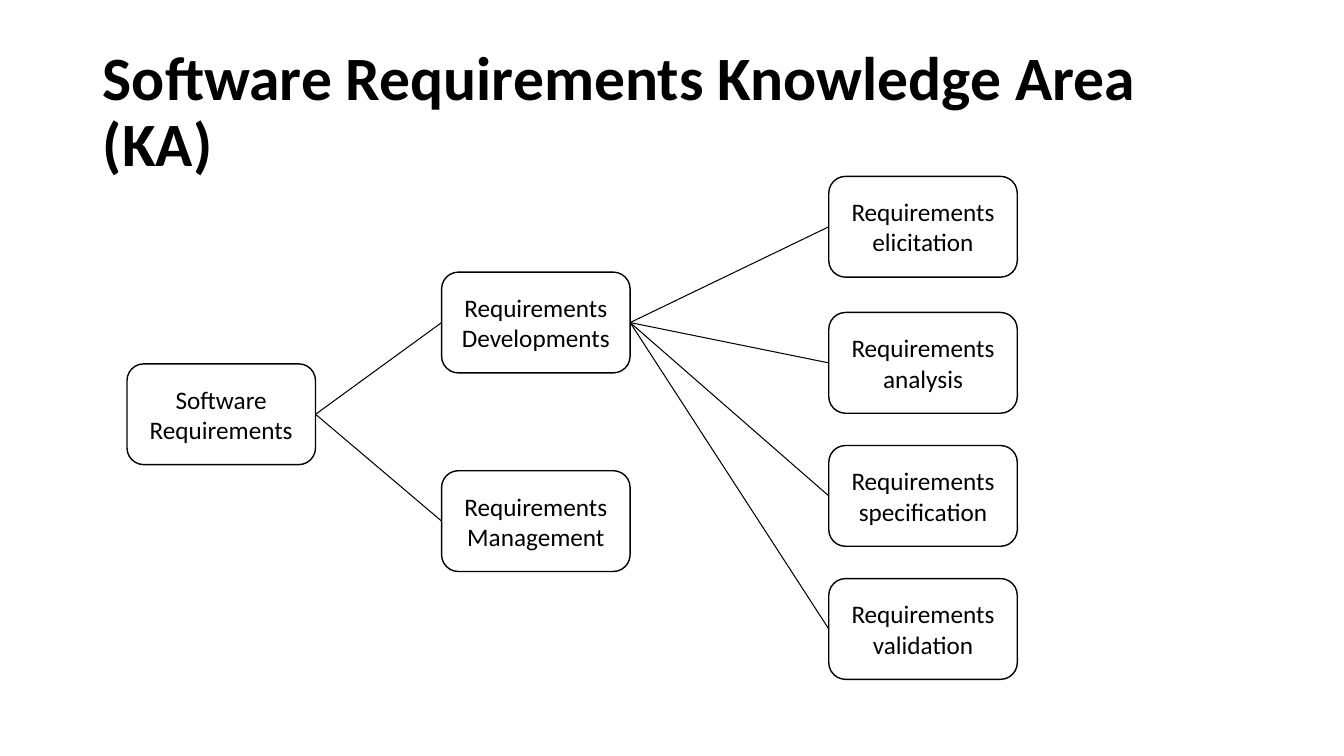
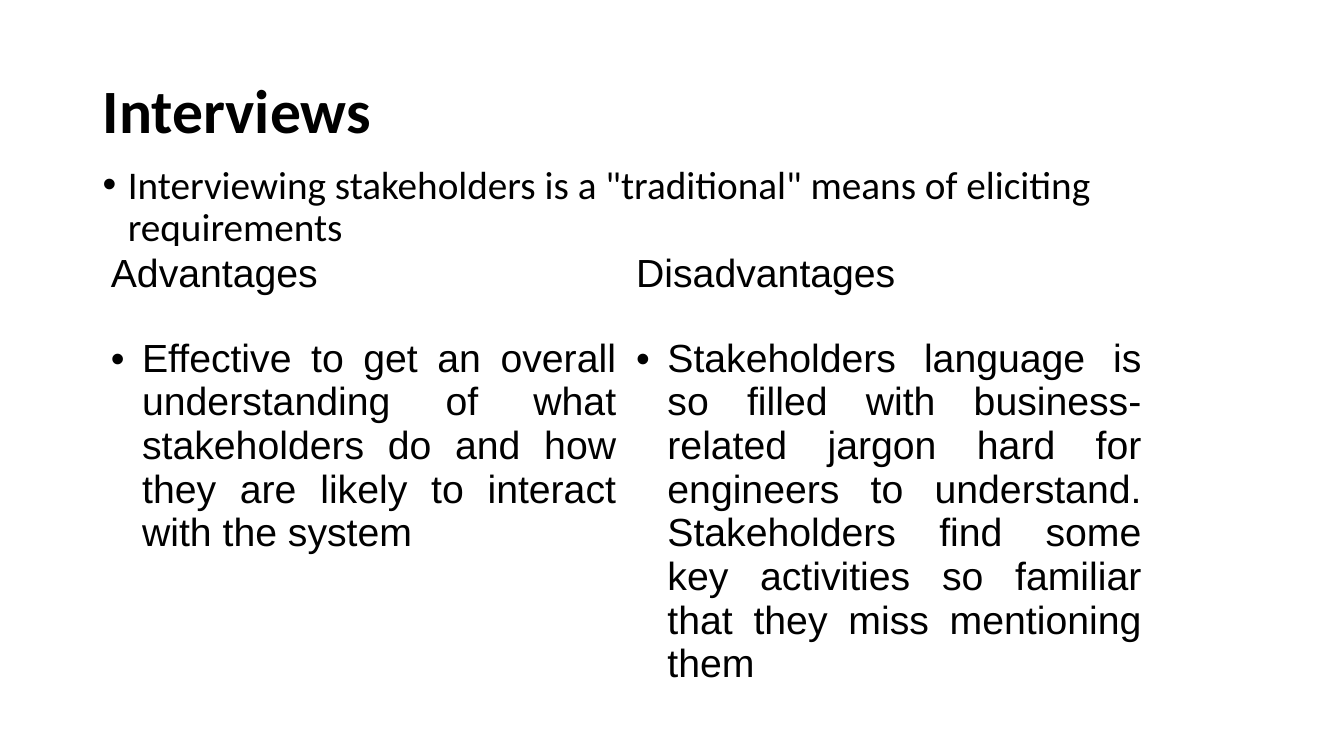
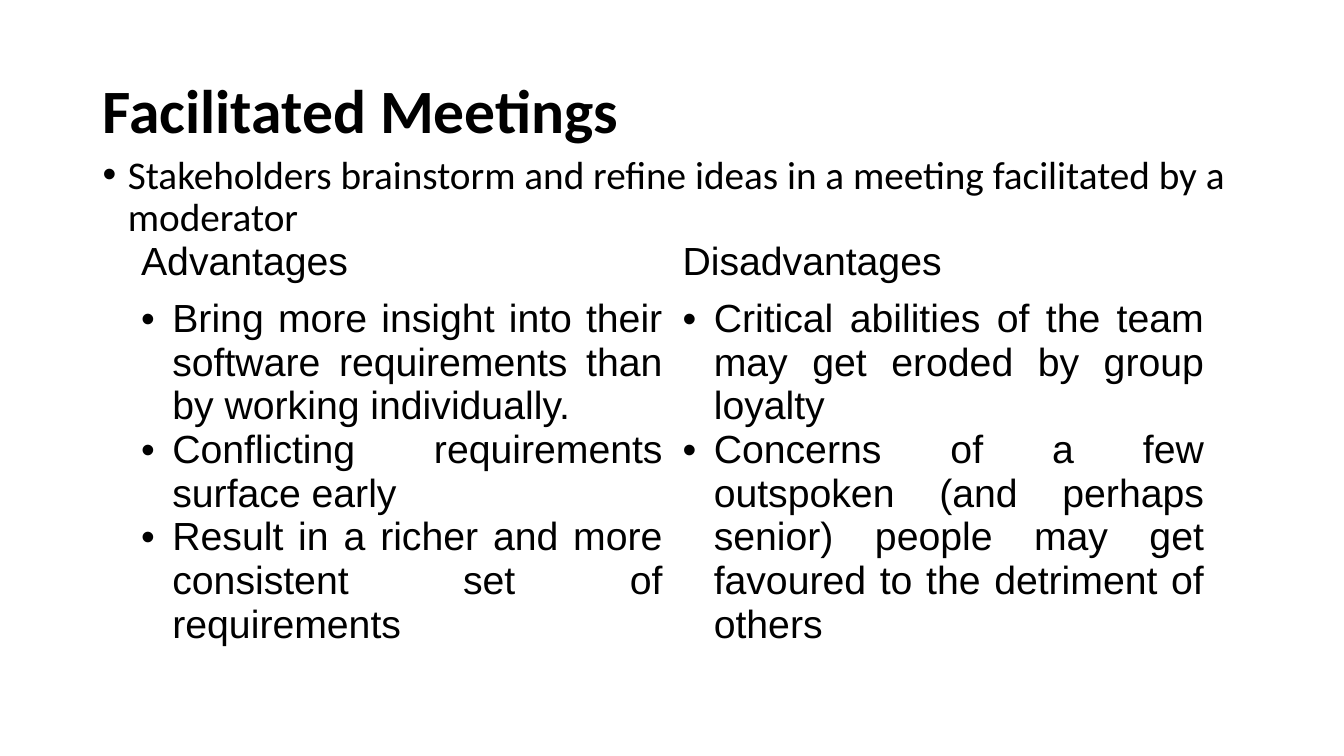
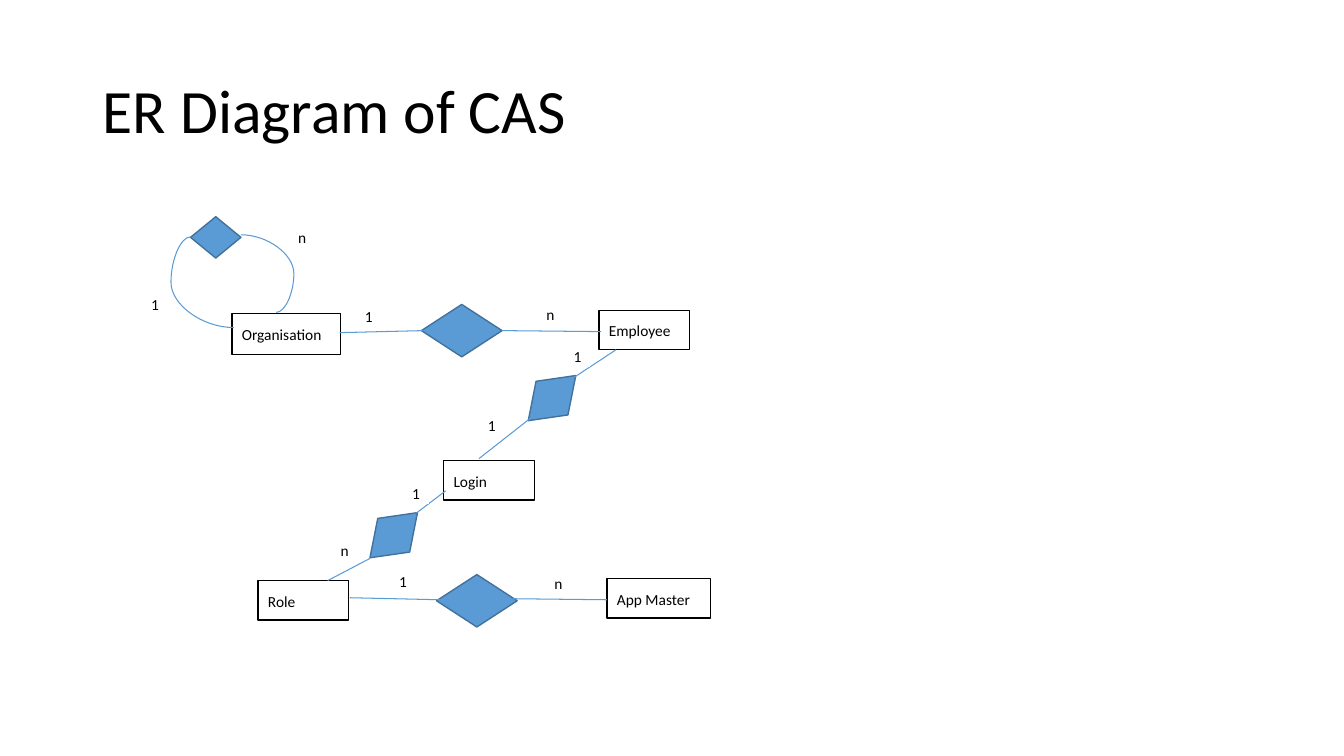
from dataclasses import dataclass
from typing import NamedTuple

from lxml import etree
from pptx import Presentation
from pptx.dml.color import RGBColor
from pptx.enum.shapes import MSO_CONNECTOR, MSO_SHAPE
from pptx.enum.text import MSO_ANCHOR, MSO_AUTO_SIZE, PP_ALIGN
from pptx.oxml.ns import qn
from pptx.util import Inches, Pt

STRAIGHT, CURVE = MSO_CONNECTOR.STRAIGHT, MSO_CONNECTOR.CURVE
RECTANGLE, ROUNDED = MSO_SHAPE.RECTANGLE, MSO_SHAPE.ROUNDED_RECTANGLE
DECISION = MSO_SHAPE.FLOWCHART_DECISION
TOP, MIDDLE = MSO_ANCHOR.TOP, MSO_ANCHOR.MIDDLE
LEFT, CENTER, JUSTIFY = PP_ALIGN.LEFT, PP_ALIGN.CENTER, PP_ALIGN.JUSTIFY
TITLE_ONLY = 5
LEFT_SITE, RIGHT_SITE = 1, 3


@dataclass(frozen=True)
class Theme:
    ink: RGBColor = RGBColor(0x00, 0x00, 0x00)
    paper: RGBColor = RGBColor(0xFF, 0xFF, 0xFF)
    accent: RGBColor = RGBColor(0x5B, 0x9B, 0xD5)
    accent_edge: RGBColor = RGBColor(0x42, 0x71, 0x9B)
    font: str = "Calibri"
    table_font: str = "Arial"
    title_size: float = 44
    body_size: float = 28
    node_size: float = 18
    diagram_size: float = 11
    edge: float = 1
    thin_edge: float = 0.75


THEME = Theme()


class Frame(NamedTuple):
    left: float
    top: float
    width: float
    height: float


class Node(NamedTuple):
    lines: tuple[str, ...]
    left: float
    top: float


class Entity(NamedTuple):
    name: str
    frame: Frame


class Relation(NamedTuple):
    frame: Frame
    rotation: float = 0


class Link(NamedTuple):
    x1: float
    y1: float
    x2: float
    y2: float
    bend: int | None = None


class Mark(NamedTuple):
    text: str
    left: float
    top: float


@dataclass(frozen=True)
class Comparison:
    title: str
    summary: str
    summary_top: float
    table: Frame
    row_heights: tuple[float, float]
    advantages: tuple[str, ...]
    disadvantages: tuple[str, ...]


TITLE_FRAME = Frame(0.92, 0.4, 11.5, 1.45)
NODE_WIDTH, NODE_HEIGHT = 1.87, 1
MARK_SIDE = 0.26

ROOT = Node(("Software Requirements",), 1.26, 3.61)
BRANCHES = [
    Node(("Requirements", "Developments"), 4.38, 2.7),
    Node(("Requirements", "Management"), 4.38, 4.67),
]
ACTIVITIES = [
    Node(("Requirements", name), 8.22, top)
    for name, top in (
        ("elicitation", 1.75),
        ("analysis", 3.1),
        ("specification", 4.42),
        ("validation", 5.74),
    )
]

COMPARISONS = [
    Comparison(
        "Interviews",
        'Interviewing stakeholders is a "traditional" means of eliciting requirements',
        1.59,
        Frame(1, 2.45, 10.42, 4.02),
        (0.84, 3.18),
        (
            "Effective to get an overall understanding of what stakeholders do "
            "and how they are likely to interact with the system",
        ),
        (
            "Stakeholders language is so filled with business-related jargon "
            "hard for engineers to understand. Stakeholders find some key "
            "activities so familiar that they miss mentioning them",
        ),
    ),
    Comparison(
        "Facilitated Meetings",
        "Stakeholders brainstorm and refine ideas in a meeting facilitated by a moderator",
        1.49,
        Frame(1.3, 2.33, 10.74, 2.75),
        (0.35, 2.4),
        (
            "Bring more insight into their software requirements than by "
            "working individually.",
            "Conflicting requirements surface early",
            "Result in a richer and more consistent set of requirements",
        ),
        (
            "Critical abilities of the team may get eroded by group loyalty",
            "Concerns of a few outspoken (and perhaps senior) people may get "
            "favoured to the detriment of others",
        ),
    ),
]

ENTITIES = [
    Entity("Organisation", Frame(2.3, 3.11, 1.08, 0.41)),
    Entity("Employee", Frame(5.94, 3.08, 0.9, 0.39)),
    Entity("Login", Frame(4.4, 4.57, 0.9, 0.39)),
    Entity("Role", Frame(2.56, 5.76, 0.9, 0.39)),
    Entity("App Master", Frame(6.02, 5.74, 1.03, 0.39)),
]
RELATIONS = [
    Relation(Frame(1.89, 2.15, 0.5, 0.41)),
    Relation(Frame(4.18, 3.02, 0.8, 0.52)),
    Relation(Frame(5.15, 3.72, 0.65, 0.46), 316.5),
    Relation(Frame(3.58, 5.08, 0.65, 0.46), 316.5),
    Relation(Frame(4.33, 5.7, 0.8, 0.52)),
]
LINKS = [
    Link(2.74, 3.1, 2.39, 2.33, -50000),
    Link(1.89, 2.35, 2.32, 3.25, -45200),
    Link(4.2, 3.28, 3.37, 3.3),
    Link(5.96, 3.29, 4.98, 3.28),
    Link(6.11, 3.47, 5.7, 3.74),
    Link(5.26, 4.15, 4.75, 4.55),
    Link(4.42, 4.87, 4.13, 5.09),
    Link(3.67, 5.54, 3.25, 5.76),
    Link(4.37, 5.95, 3.47, 5.93),
    Link(6.02, 5.95, 5.09, 5.94),
]
MARKS = [
    Mark("n", 2.86, 2.2),
    Mark("1", 1.4, 2.87),
    Mark("1", 3.52, 2.99),
    Mark("n", 5.32, 2.97),
    Mark("1", 5.59, 3.38),
    Mark("1", 4.74, 4.07),
    Mark("1", 3.99, 4.74),
    Mark("n", 3.28, 5.31),
    Mark("1", 3.86, 5.61),
    Mark("n", 5.4, 5.63),
]


def lengths(frame: Frame) -> list:
    return [Inches(value) for value in frame]


def add_bullet(para, indent: float) -> None:
    properties = para._p.get_or_add_pPr()
    properties.set("marL", str(Inches(indent)))
    properties.set("indent", str(-Inches(indent)))
    etree.SubElement(properties, qn("a:buFont"), typeface="Arial")
    etree.SubElement(properties, qn("a:buChar"), char="•")


def write(text_frame, lines, size: float, font: str = THEME.font, align=LEFT,
          spacing: float = 1, bold: bool = False, indent: float = 0) -> None:
    for index, line in enumerate(lines):
        para = text_frame.add_paragraph() if index else text_frame.paragraphs[0]
        if indent:
            add_bullet(para, indent)
        para.alignment = align
        para.line_spacing = spacing
        span = para.add_run()
        span.text = line
        span.font.name = font
        span.font.size = Pt(size)
        span.font.bold = bold
        span.font.color.rgb = THEME.ink


def add_page(deck, title: str, bold: bool = True):
    page = deck.slides.add_slide(deck.slide_layouts[TITLE_ONLY])
    box = page.shapes.title
    box.left, box.top, box.width, box.height = lengths(TITLE_FRAME)
    box.text_frame.auto_size = MSO_AUTO_SIZE.NONE
    box.text_frame.vertical_anchor = MIDDLE
    write(box.text_frame, [title], THEME.title_size, spacing=0.9, bold=bold)
    return page


def add_box(page, kind, frame: Frame, fill=THEME.paper, line=THEME.ink,
            edge: float = THEME.edge, anchor=MIDDLE):
    box = page.shapes.add_shape(kind, *lengths(frame))
    box.shadow.inherit = False
    box.fill.solid()
    box.fill.fore_color.rgb = fill
    box.line.color.rgb = line
    box.line.width = Pt(edge)
    box.text_frame.word_wrap = True
    box.text_frame.vertical_anchor = anchor
    return box


def add_line(page, link: Link, color):
    kind = STRAIGHT if link.bend is None else CURVE
    line = page.shapes.add_connector(kind, *[Inches(value) for value in link[:4]])
    line.line.color.rgb = color
    line.line.width = Pt(THEME.thin_edge)
    properties = line._element.spPr
    etree.SubElement(properties, qn("a:effectLst"))
    if link.bend is not None:
        guides = properties.find(qn("a:prstGeom")).get_or_add_avLst()
        etree.SubElement(guides, qn("a:gd"), name="adj1", fmla=f"val {link.bend}")
    return line


def add_node(page, node: Node):
    box = add_box(page, ROUNDED, Frame(node.left, node.top, NODE_WIDTH, NODE_HEIGHT))
    write(box.text_frame, node.lines, THEME.node_size, align=CENTER)
    return box


def join_nodes(page, parent, children) -> None:
    for child in children:
        line = add_line(page, Link(0, 0, 1, 1), THEME.ink)
        line.begin_connect(parent, RIGHT_SITE)
        line.end_connect(child, LEFT_SITE)


def build_knowledge_area(deck) -> None:
    page = add_page(deck, "Software Requirements Knowledge Area (KA)")
    root = add_node(page, ROOT)
    branches = [add_node(page, node) for node in BRANCHES]
    activities = [add_node(page, node) for node in ACTIVITIES]
    join_nodes(page, root, branches)
    join_nodes(page, branches[0], activities)


def build_comparison(deck, comparison: Comparison) -> None:
    page = add_page(deck, comparison.title)
    summary = page.shapes.add_textbox(
        *lengths(Frame(TITLE_FRAME.left, comparison.summary_top, TITLE_FRAME.width, 1)))
    summary.text_frame.word_wrap = True
    write(summary.text_frame, [comparison.summary], THEME.body_size,
          spacing=0.9, indent=0.25)

    table = page.shapes.add_table(2, 2, *lengths(comparison.table)).table
    table.first_row = False
    table.horz_banding = False
    for row, height in zip(table.rows, comparison.row_heights):
        row.height = Inches(height)
    columns = (("Advantages", comparison.advantages),
               ("Disadvantages", comparison.disadvantages))
    for column, (heading, points) in enumerate(columns):
        header, body = table.cell(0, column), table.cell(1, column)
        header.fill.background()
        body.fill.background()
        write(header.text_frame, [heading], THEME.body_size, THEME.table_font)
        write(body.text_frame, points, THEME.body_size, THEME.table_font,
              align=JUSTIFY, indent=0.31)


def build_er_diagram(deck) -> None:
    page = add_page(deck, "ER Diagram of CAS", bold=False)
    for entity in ENTITIES:
        box = add_box(page, RECTANGLE, entity.frame)
        write(box.text_frame, [entity.name], THEME.diagram_size, spacing=1.07)
    for relation in RELATIONS:
        diamond = add_box(page, DECISION, relation.frame, THEME.accent, THEME.accent_edge)
        diamond.rotation = relation.rotation
    for link in LINKS:
        add_line(page, link, THEME.accent)
    for mark in MARKS:
        box = add_box(page, RECTANGLE, Frame(mark.left, mark.top, MARK_SIDE, MARK_SIDE),
                      line=THEME.paper, edge=THEME.thin_edge, anchor=TOP)
        write(box.text_frame, [mark.text], THEME.diagram_size, spacing=1.07)


def main() -> None:
    deck = Presentation()
    deck.slide_width, deck.slide_height = Inches(13.33), Inches(7.5)
    build_knowledge_area(deck)
    for comparison in COMPARISONS:
        build_comparison(deck, comparison)
    build_er_diagram(deck)
    deck.save("out.pptx")


if __name__ == "__main__":
    main()
